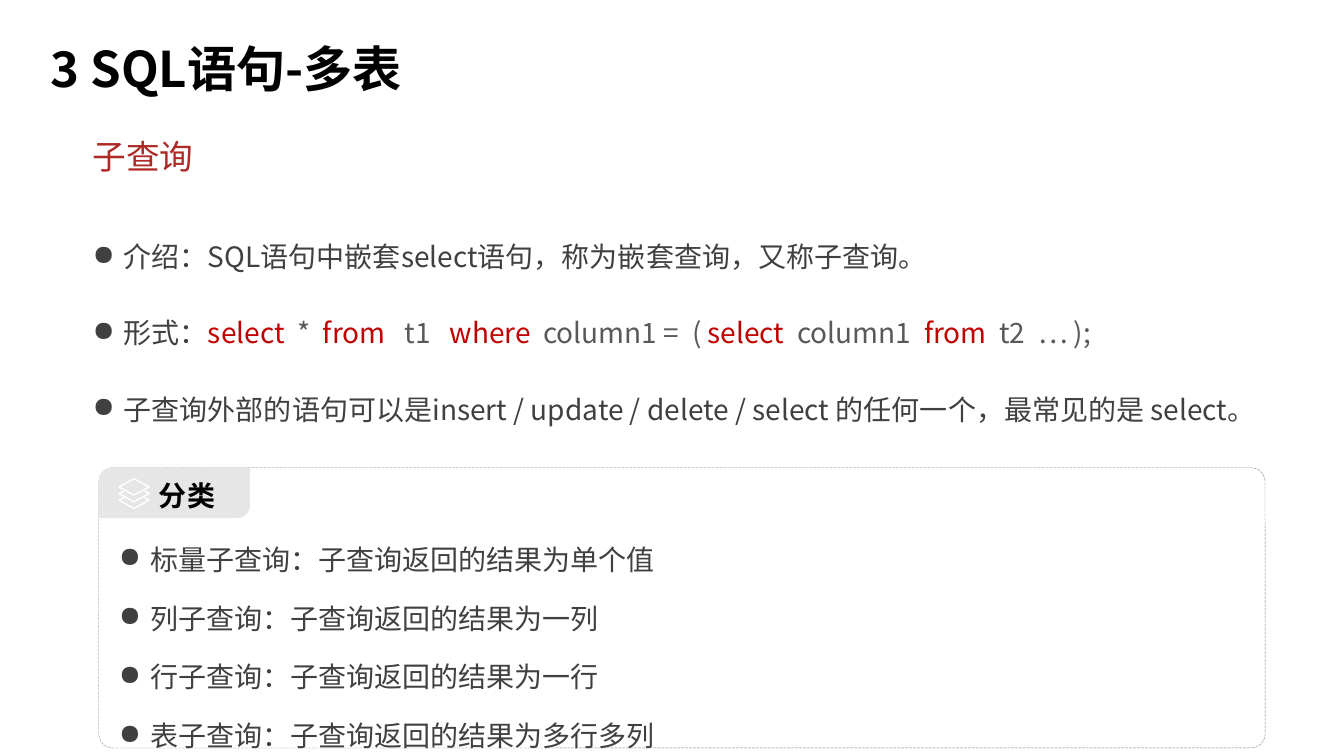
from dataclasses import dataclass

from lxml import etree
from pptx import Presentation
from pptx.dml.color import RGBColor
from pptx.enum.dml import MSO_LINE
from pptx.enum.shapes import MSO_SHAPE
from pptx.enum.text import MSO_ANCHOR, PP_ALIGN
from pptx.oxml.ns import qn
from pptx.util import Inches, Pt

MID, TOP = MSO_ANCHOR.MIDDLE, MSO_ANCHOR.TOP
LEFT = PP_ALIGN.LEFT
ROUND, DIAG = MSO_SHAPE.ROUNDED_RECTANGLE, MSO_SHAPE.ROUND_2_DIAG_RECTANGLE
DASH = MSO_LINE.LONG_DASH
TITLE_ONLY = 5


@dataclass(frozen=True)
class Theme:
    font: str = "Noto Sans CJK SC"
    sub_font: str = "Calibri"
    black: str = "000000"
    white: str = "FFFFFF"
    body: str = "404040"
    code: str = "595959"
    key: str = "C00000"
    sub: str = "AD2A26"
    edge: str = "808080"
    tab: str = "E7E6E6"
    head_size: float = 35.1
    sub_size: float = 24
    size: float = 20
    space: float = 4.5  # width of one space at body size, in points


class Deck:
    def __init__(self, theme):
        self.theme = theme
        self.prs = Presentation()
        self.prs.slide_width, self.prs.slide_height = Inches(13.333), Inches(7.5)
        self.slide = self.prs.slides.add_slide(self.prs.slide_layouts[TITLE_ONLY])
        self.shapes = self.slide.shapes

    def box(self, x, y, w, h):
        """Turn percent shares of the slide into lengths."""
        wide, high = self.prs.slide_width, self.prs.slide_height
        return [int(v * s / 100) for v, s in zip((x, y, w, h), (wide, high) * 2)]

    def run(self, para, text, color, size=None, bold=False, font=None, track=0):
        run = para.add_run()
        run.text = text
        run.font.size = Pt(size or self.theme.size)
        run.font.bold = bold
        run.font.name = font or self.theme.font
        run.font.color.rgb = RGBColor.from_string(color)
        props = run._r.get_or_add_rPr()
        etree.SubElement(props, qn("a:ea")).set("typeface", self.theme.font)
        if track:
            props.set("spc", str(round(track * 100)))

    def frame(self, shape, anchor, inset=(0.1, 0.05, 0.1, 0.05)):
        frame = shape.text_frame
        frame.word_wrap = True
        frame.vertical_anchor = anchor
        (frame.margin_left, frame.margin_top,
         frame.margin_right, frame.margin_bottom) = map(Inches, inset)
        frame.paragraphs[0].alignment = LEFT
        return frame

    def title(self, text, place):
        shape = self.shapes.title
        shape.left, shape.top, shape.width, shape.height = self.box(*place)
        para = self.frame(shape, MID).paragraphs[0]
        para.line_spacing = 0.9
        self.run(para, text, self.theme.black, self.theme.head_size, True)

    def text(self, place):
        return self.shapes.add_textbox(*self.box(*place))

    def shape(self, kind, place, adjust, fill=None, edge=None):
        shape = self.shapes.add_shape(kind, *self.box(*place))
        for i, value in enumerate(adjust):
            shape.adjustments[i] = value
        self.paint(shape, fill, edge, 0.25)
        if edge:
            shape.line.dash_style = DASH
        return shape

    def paint(self, shape, fill, edge, width):
        shape.shadow.inherit = False
        if fill:
            shape.fill.solid()
            shape.fill.fore_color.rgb = RGBColor.from_string(fill)
        else:
            shape.fill.background()
        if edge:
            shape.line.color.rgb = RGBColor.from_string(edge)
            shape.line.width = Pt(width)
        else:
            shape.line.fill.background()

    def bullets(self, frame, items, line, gap):
        """Each item is a list of (text, color, spaces after it)."""
        for i, item in enumerate(items):
            para = frame.add_paragraph() if i else frame.paragraphs[0]
            props = para._p.get_or_add_pPr()
            props.set("marL", str(Inches(0.31)))
            props.set("indent", str(-Inches(0.31)))
            etree.SubElement(props, qn("a:buChar")).set("char", "●")
            para.alignment = LEFT
            para.line_spacing = Pt(line)
            para.space_before = Pt(gap if i else 0)
            for text, color, spaces in item:
                self.run(para, text, color)
                if spaces:
                    self.run(para, " ", color, track=(spaces - 1) * self.theme.space)

    def layers(self, place):
        """Draw a stack of three sheets: one diamond and two chevrons."""
        x, y, w, h = self.box(*place)
        sheet = [(0.5, 0), (1, 0.27), (0.5, 0.54), (0, 0.27), (0.5, 0)]
        under = [(0.15, 0.41), (0, 0.49), (0.5, 0.76), (1, 0.49), (0.85, 0.41)]
        lower = [(px, py + 0.22) for px, py in under]
        pen = None
        for path in (sheet, under, lower):
            dots = [(x + int(px * w), y + int(py * h)) for px, py in path]
            if pen is None:
                pen = self.shapes.build_freeform(*dots[0])
            else:
                pen.move_to(*dots[0])
            pen.add_line_segments(dots[1:], close=False)
        self.paint(pen.convert_to_shape(), None, self.theme.white, 1)


def main():
    theme = Theme()
    deck = Deck(theme)
    body, code, key = theme.body, theme.code, theme.key

    # Headings
    deck.title("3 SQL语句-多表", (3, 4.27, 46.95, 10.4))
    sub = deck.frame(deck.text((6.15, 16.8, 87.75, 7.6)), MID)
    deck.run(sub.paragraphs[0], "子查询", theme.sub, theme.sub_size,
             font=theme.sub_font)

    # Definition and syntax
    intro = deck.frame(deck.text((6.15, 26.27, 91.13, 29.2)), TOP)
    deck.bullets(intro, [
        [("介绍：SQL语句中嵌套select语句，称为嵌套查询，又称子查询。", body, 0)],
        [("形式：", body, 0), ("select", key, 2), ("*", code, 2),
         ("from", key, 3), ("t1", code, 3), ("where", key, 2),
         ("column1 =", code, 2), ("(", code, 1), ("select", key, 2),
         ("column1", code, 2), ("from", key, 2), ("t2", code, 2),
         ("… );", code, 0)],
        [("子查询外部的语句可以是insert / update / delete / select "
          "的任何一个，最常见的是 select。", body, 0)],
    ], 50, 4.3)

    # Panel of kinds
    left, top = 7.35, 61.87
    panel = deck.shape(ROUND, (left, top, 86.78, 37.07), [0.05], edge=theme.edge)
    kinds = [("标量", "单个值"), ("列", "一列"), ("行", "一行"), ("表", "多行多列")]
    deck.bullets(deck.frame(panel, TOP, (0.16, 0.47, 0.08, 0.04)),
                 [[(f"{kind}子查询：子查询返回的结果为{value}", body, 0)]
                  for kind, value in kinds], 40.4, 1.7)

    # Panel label with its icon
    tab = deck.shape(DIAG, (left, top, 11.25, 6.67), [0.26, 0], fill=theme.tab)
    label = deck.frame(tab, MID, (0.56, 0.05, 0.04, 0))
    deck.run(label.paragraphs[0], "分类", theme.black, bold=True)
    deck.layers((8.85, 63.33, 2.25, 4))

    deck.prs.save("out.pptx")


if __name__ == "__main__":
    main()
